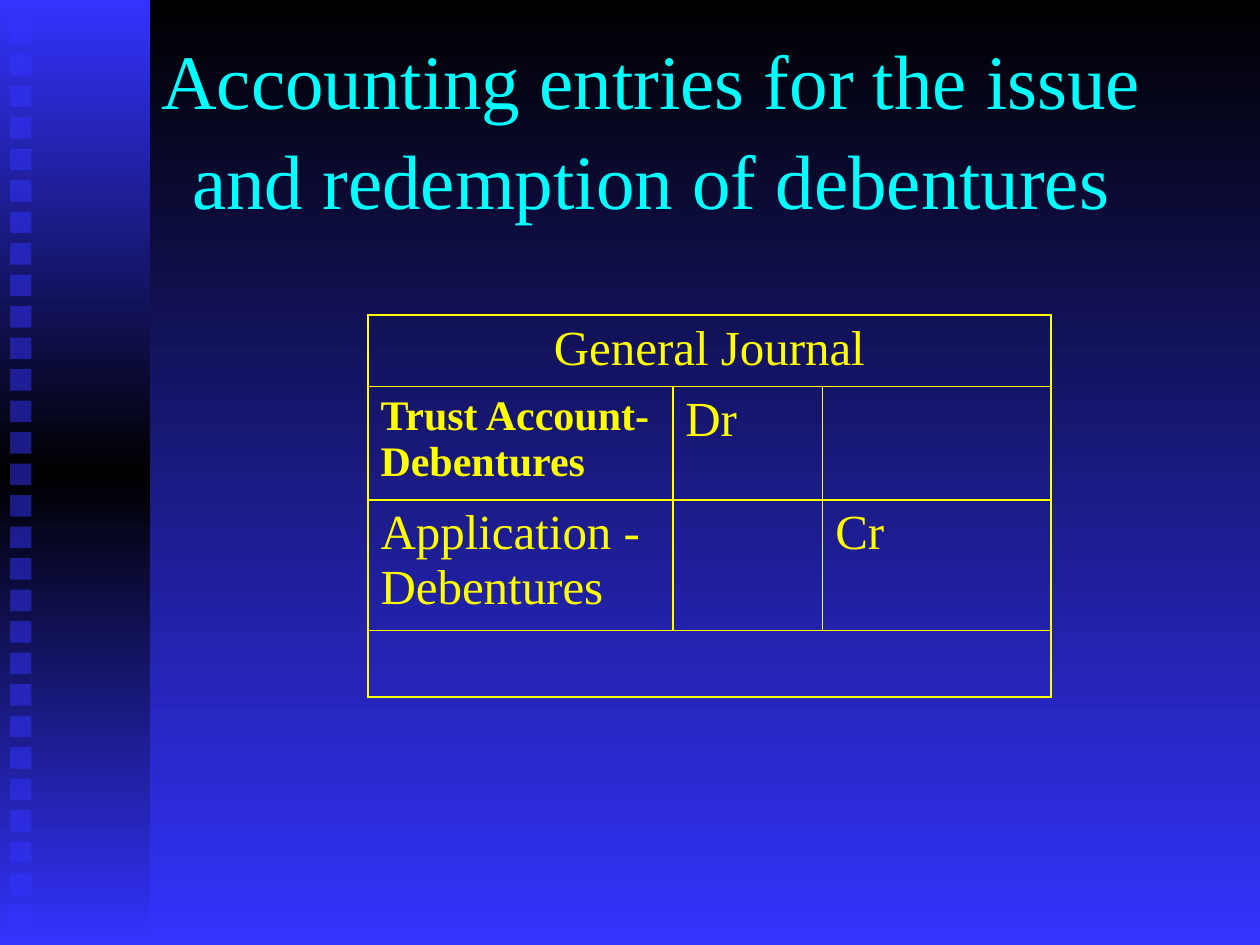
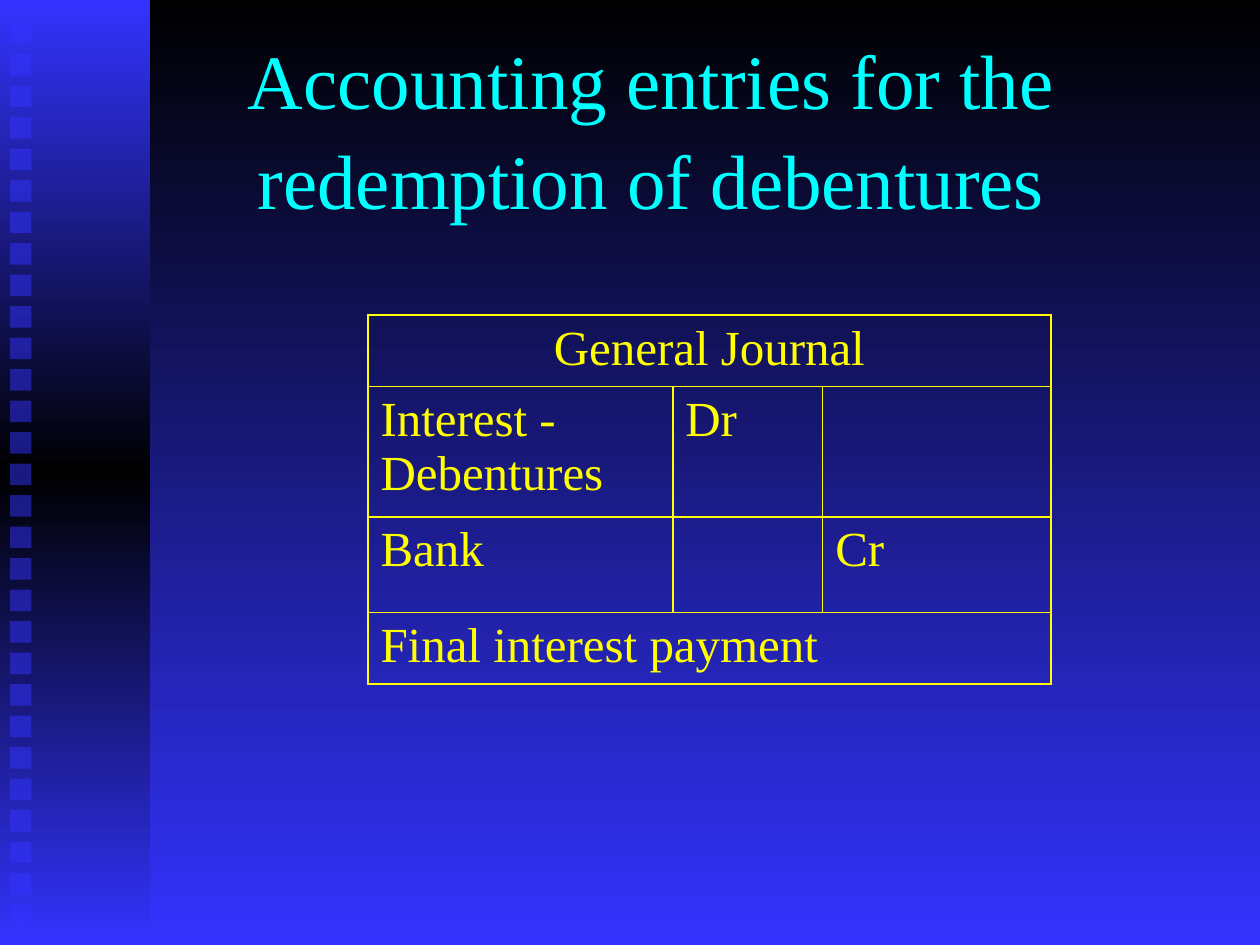
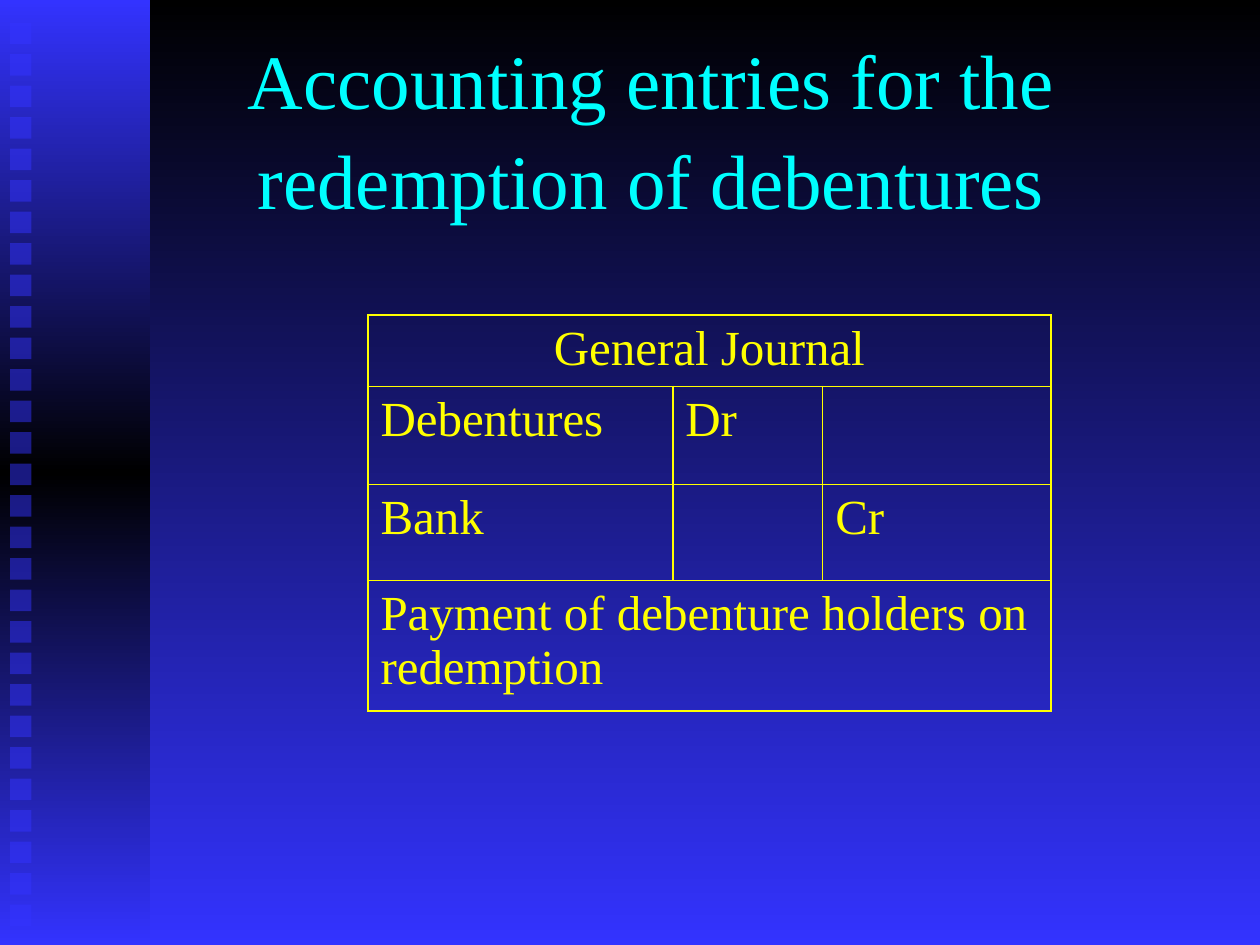
from copy import deepcopy

from lxml.etree import SubElement
from pptx import Presentation
from pptx.dml.color import RGBColor
from pptx.enum.shapes import MSO_SHAPE as Preset
from pptx.enum.text import MSO_ANCHOR as Anchor, PP_ALIGN as Align
from pptx.oxml import parse_xml
from pptx.oxml.ns import nsdecls, qn
from pptx.util import Inches, Pt

COLORS = {
    "black": "000000",
    "blue": "3333FF",
    "title": "00FFFF",
    "journal": "FFFF00",
}
FONT = "Times New Roman"
COLUMN_WIDTHS = (2.42, 1.19, 1.81)
ROW_HEIGHTS = (0.53, 0.78, 0.76, 0.53)


def color(name):
    return RGBColor.from_string(COLORS[name])


class JournalDeck:
    def __init__(self):
        self.presentation = Presentation()
        self.presentation.slide_width = Inches(10)
        self.presentation.slide_height = Inches(7.5)
        self.slide = None

    def add_slide(self, title):
        self.slide = self.presentation.slides.add_slide(self.presentation.slide_layouts[6])
        self.gradient(self.slide.background.fill, "black", "blue")
        self.side_band()
        self.title(title)

    def gradient(self, fill, first, last, last_position=1.0):
        fill.gradient()
        fill.gradient_angle = 270
        for stop, name, position in zip(fill.gradient_stops, (first, last), (0, last_position)):
            stop.color.rgb = color(name)
            stop.position = position

    def rectangle(self, group, left, top, width, height):
        shape = group.shapes.add_shape(
            Preset.RECTANGLE, Inches(left), Inches(top), Inches(width), Inches(height))
        shape.shadow.inherit = False
        shape.line.fill.background()
        return shape

    def side_band(self):
        group = self.slide.shapes.add_group_shape()
        band = self.rectangle(group, 0, 0, 1.19, 7.5)
        self.gradient(band.fill, "blue", "black", 0.5)
        stops = band.element.spPr.find(".//" + qn("a:gsLst"))
        end_stop = deepcopy(stops[0])
        end_stop.set("pos", "100000")
        stops.append(end_stop)
        for index in range(29):
            square = self.rectangle(group, 0.08, 0.18 + 0.25 * index, 0.17, 0.17)
            square.fill.solid()
            square.fill.fore_color.rgb = color("blue")
            solid = square.element.spPr.find(qn("a:solidFill"))
            SubElement(solid[0], qn("a:alpha")).set("val", "50000")

    def add_run(self, paragraph, text, size, color_name, bold=False):
        run = paragraph.add_run()
        run.text = text
        run.font.name = FONT
        run.font.size = Pt(size)
        run.font.bold = bold
        run.font.color.rgb = color(color_name)

    def title(self, text):
        box = self.slide.shapes.add_textbox(
            Inches(0.92), Inches(0.33), Inches(8.5), Inches(1.33))
        frame = box.text_frame
        frame.word_wrap = True
        frame.vertical_anchor = Anchor.MIDDLE
        paragraph = frame.paragraphs[0]
        paragraph.alignment = Align.CENTER
        paragraph.line_spacing = 1.08
        self.add_run(paragraph, text, 44, "title")

    def cell_borders(self, cell):
        properties = cell._tc.get_or_add_tcPr()
        for index, side in enumerate(("lnL", "lnR", "lnT", "lnB")):
            properties.insert(index, parse_xml(
                f'<a:{side} {nsdecls("a")} w="{Pt(1)}"><a:solidFill>'
                f'<a:srgbClr val="{COLORS["journal"]}"/></a:solidFill></a:{side}>'))

    def journal(self, debit, credit, narration="", debit_size=28, debit_bold=False):
        rows = (
            ("General Journal", "", ""),
            (debit, "Dr", ""),
            (credit, "", "Cr"),
            (narration, "", ""),
        )
        table = self.slide.shapes.add_table(
            len(rows), len(COLUMN_WIDTHS), Inches(2.92), Inches(2.5),
            Inches(sum(COLUMN_WIDTHS)), Inches(sum(ROW_HEIGHTS))).table
        table.first_row = False
        table.horz_banding = False
        for column, width in zip(table.columns, COLUMN_WIDTHS):
            column.width = Inches(width)
        for row, height in zip(table.rows, ROW_HEIGHTS):
            row.height = Inches(height)
        for row_index, texts in enumerate(rows):
            for column_index, text in enumerate(texts):
                cell = table.cell(row_index, column_index)
                cell.fill.background()
                self.cell_borders(cell)
                if text:
                    is_debit = (row_index, column_index) == (1, 0)
                    self.add_run(cell.text_frame.paragraphs[0], text,
                                 debit_size if is_debit else 28, "journal",
                                 is_debit and debit_bold)
        for row_index in (0, 3):
            table.cell(row_index, 0).merge(table.cell(row_index, 2))
        table.cell(0, 0).text_frame.paragraphs[0].alignment = Align.CENTER


REDEMPTION_TITLE = "Accounting entries for the redemption of debentures"

deck = JournalDeck()

deck.add_slide("Accounting entries for the issue and redemption of debentures")
deck.journal("Trust Account- Debentures", "Application - Debentures",
             debit_size=24, debit_bold=True)

deck.add_slide(REDEMPTION_TITLE)
deck.journal("Interest - Debentures", "Bank", "Final interest payment")

deck.add_slide(REDEMPTION_TITLE)
deck.journal("Debentures", "Bank", "Payment of debenture holders on redemption")

deck.presentation.save("out.pptx")
